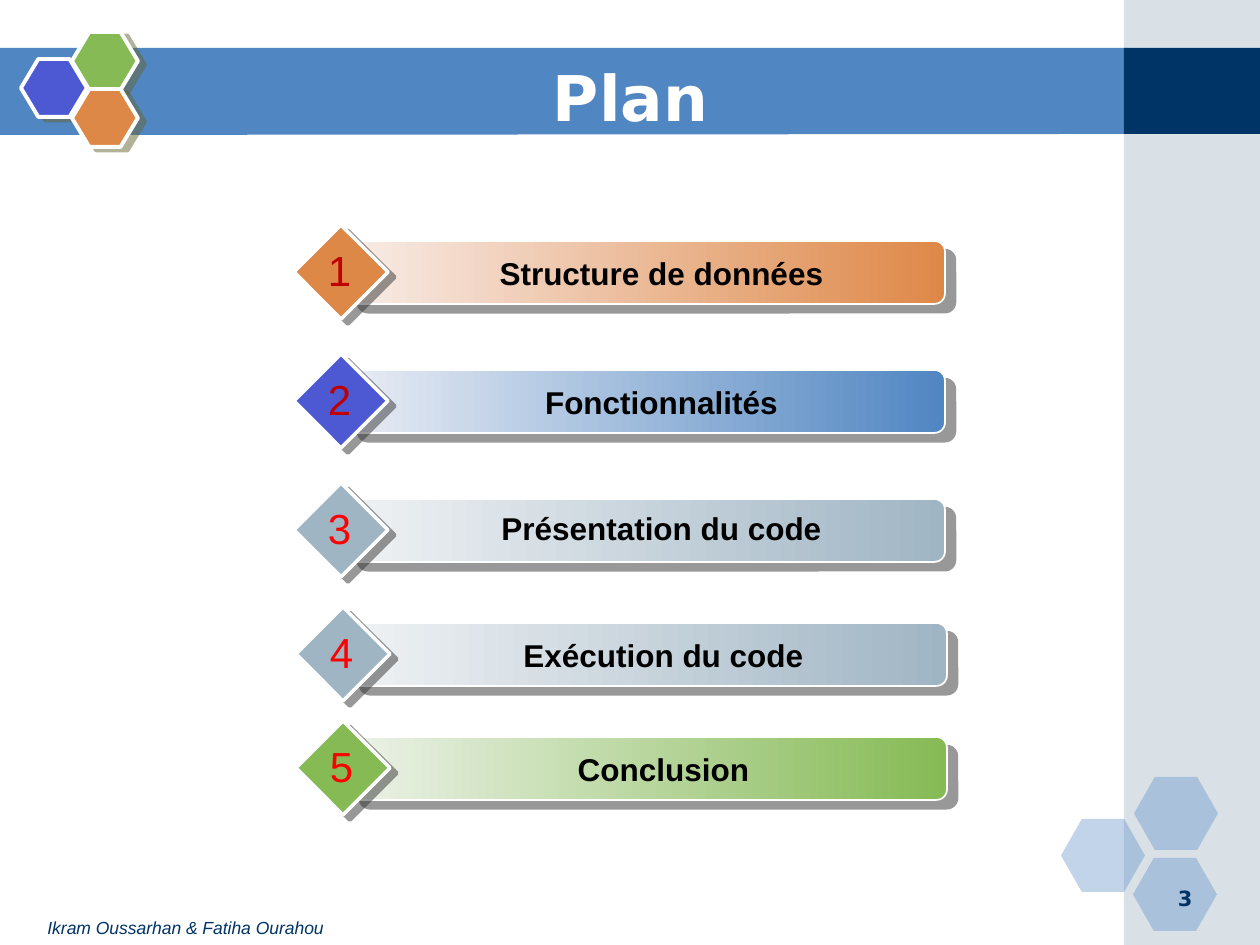
import pptx
import pptx.util
import pptx.dml.color
import pptx.enum.shapes
import pptx.enum.text
import pptx.oxml.ns
import lxml.etree

PX = 914400 // 126
SHAPE = pptx.enum.shapes.MSO_SHAPE
ALIGN = pptx.enum.text.PP_ALIGN
RGB = pptx.dml.color.RGBColor.from_string

THEME = {
    "white": "FFFFFF", "black": "000000", "navy": "003366", "blue": "5086C2",
    "indigo": "4C59D2", "green": "85BA54", "orange": "DE8848", "grey": "A0B5C4",
    "dark_red": "C00000", "red": "FF0000",
    "orange_tint": "F8ECE7", "blue_tint": "E8ECF4", "grey_tint": "EFF2F4",
    "green_tint": "ECF2E8", "logo_shadow": "666633", "bar_shadow": "333333",
    "title": {"name": "DejaVu Sans", "size": pptx.util.Pt(36), "bold": True},
    "label": {"name": "Arial", "size": pptx.util.Pt(18), "bold": True},
    "number": {"name": "Arial", "size": pptx.util.Pt(24)},
    "page": {"name": "DejaVu Sans", "size": pptx.util.Pt(12), "bold": True},
    "footer": {"name": "Arial", "size": pptx.util.Pt(10), "italic": True},
}


def add_shape(kind, box, fill, adj=None, tint=None, alpha=None, line=None, shadow=None):
    """Fill is solid, see-through (alpha in %) or a gradient from tint.
    Shadow is (colour, distance in pt, angle in degrees), at 50 % opacity."""
    s = slide.shapes.add_shape(kind, *[v * PX for v in box])
    s.shadow.inherit = False
    if adj is not None:
        s.adjustments[0] = adj
    if tint:
        s.fill.gradient()
        s.fill.gradient_angle = 0
        for stop, color in zip(s.fill.gradient_stops, (tint, fill)):
            stop.color.rgb = RGB(THEME[color])
    else:
        s.fill.solid()
        s.fill.fore_color.rgb = RGB(THEME[fill])
    if line:
        s.line.color.rgb = RGB(THEME["white"])
        s.line.width = pptx.util.Pt(line)
    else:
        s.line.fill.background()
    qn = pptx.oxml.ns.qn
    spPr = s.element.spPr
    if alpha:
        clr = spPr.find(qn("a:solidFill")).find(qn("a:srgbClr"))
        lxml.etree.SubElement(clr, qn("a:alpha"), val=str(alpha * 1000))
    if shadow:
        color, dist, angle = shadow
        shdw = lxml.etree.SubElement(
            spPr.find(qn("a:effectLst")), qn("a:outerShdw"), blurRad="0",
            dist=str(pptx.util.Pt(dist)), dir=str(angle * 60000),
            algn="ctr", rotWithShape="0")
        clr = lxml.etree.SubElement(shdw, qn("a:srgbClr"), val=THEME[color])
        lxml.etree.SubElement(clr, qn("a:alpha"), val="50000")
    return s


def add_text(box, text, style, color, align=ALIGN.CENTER, anchor="TOP"):
    tf = slide.shapes.add_textbox(*[v * PX for v in box]).text_frame
    tf.word_wrap = True
    tf.vertical_anchor = getattr(pptx.enum.text.MSO_ANCHOR, anchor)
    p = tf.paragraphs[0]
    p.alignment = align
    r = p.add_run()
    r.text = text
    r.font.color.rgb = RGB(THEME[color])
    for key, value in THEME[style].items():
        setattr(r.font, key, value)


prs = pptx.Presentation()
prs.slide_width, prs.slide_height = pptx.util.Inches(10), pptx.util.Inches(7.5)
slide = prs.slides.add_slide(prs.slide_layouts[6])

# Title band
builder = slide.shapes.build_freeform(-1, 48, scale=PX)
builder.add_line_segments([(1128, 48), (1128, 134), (-1, 135)], close=True)
band = builder.convert_to_shape()
band.shadow.inherit = False
band.fill.solid()
band.fill.fore_color.rgb = RGB(THEME["blue"])
band.line.fill.background()

# Right-hand column
add_shape(SHAPE.RECTANGLE, (1124, 0, 136, 945), "grey", alpha=40)
add_shape(SHAPE.RECTANGLE, (1124, 48, 136, 86), "navy")

# Pale hexagons, bottom right
for x, y in [(1061, 819), (1134, 777), (1133, 858)]:
    add_shape(SHAPE.HEXAGON, (x, y, 84, 73), "blue", adj=0.286, alpha=35)

# Hexagon cluster, top left
for x, y, color in [(21, 59, "indigo"), (72, 32, "green"), (72, 89, "orange")]:
    add_shape(SHAPE.HEXAGON, (x, y, 66, 58), color, adj=0.3, line=2.25,
              shadow=("logo_shadow", 4.5, 27))

# Title, footer and page number
add_text((95, 28, 1071, 137), "Plan", "title", "white", anchor="MIDDLE")
add_text((35, 911, 753, 33), "Ikram Oussarhan & Fatiha Ourahou", "footer", "navy",
         align=ALIGN.LEFT)
add_text((1142, 879, 63, 32), "3", "page", "navy", align=ALIGN.RIGHT)

# Agenda: label, bar left and top, label offset, bar, tint, diamond and number colours
agenda = [
    ("Structure de données", 347, 241, 7, "orange", "orange_tint", "orange", "dark_red"),
    ("Fonctionnalités", 347, 370, 7, "blue", "blue_tint", "indigo", "dark_red"),
    ("Présentation du code", 347, 499, 4, "grey", "grey_tint", "grey", "red"),
    ("Exécution du code", 349, 623, 7, "grey", "grey_tint", "grey", "red"),
    ("Conclusion", 349, 737, 7, "green", "green_tint", "green", "red"),
]
for n, (label, x, y, drop, bar, tint, diamond, number) in enumerate(agenda, 1):
    add_shape(SHAPE.ROUNDED_RECTANGLE, (x, y, 598, 63), bar, adj=0.167, tint=tint,
              line=1, shadow=("bar_shadow", 7.8, 40))
    add_shape(SHAPE.DIAMOND, (x - 53, y - 16, 94, 94), diamond, line=2,
              shadow=("bar_shadow", 5, 37))
    add_text((x + 31, y + drop, 567, 50), label, "label", "black")
    add_text((x - 32, y - 3, 49, 63), str(n), "number", number)

prs.save("out.pptx")
